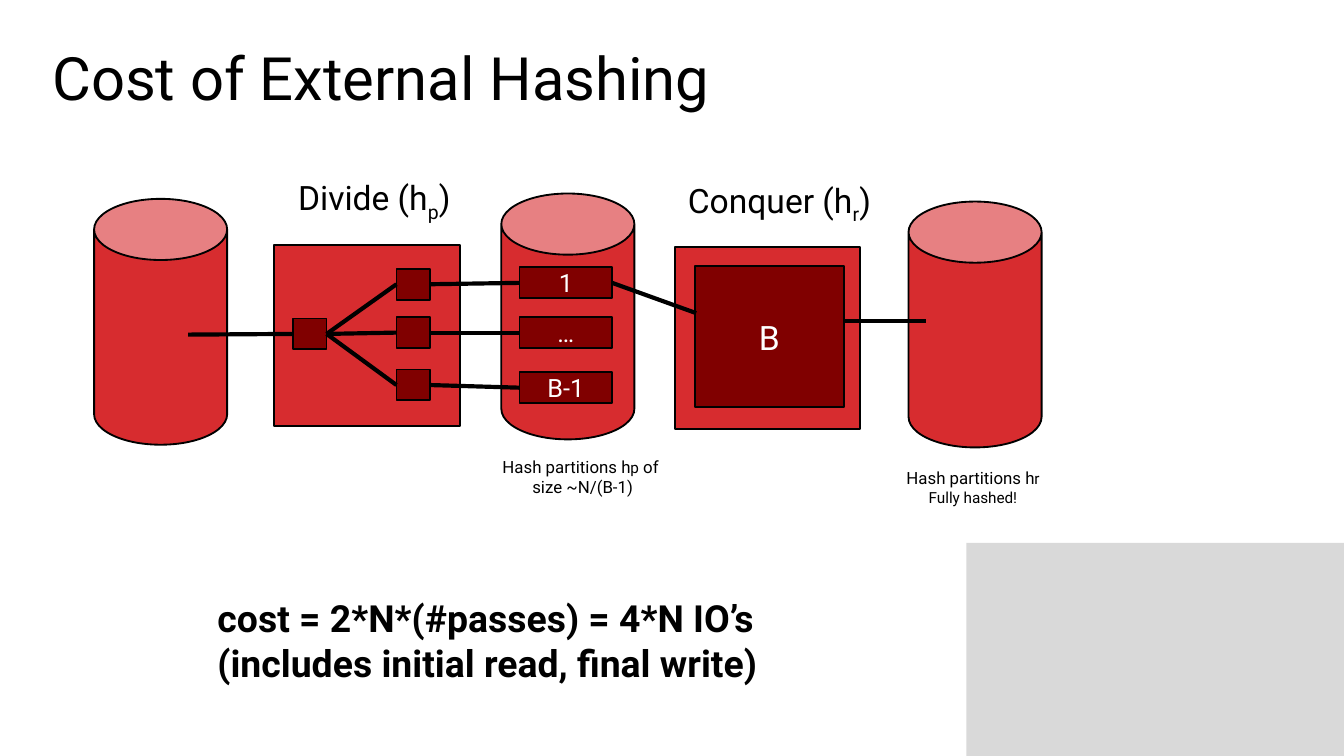
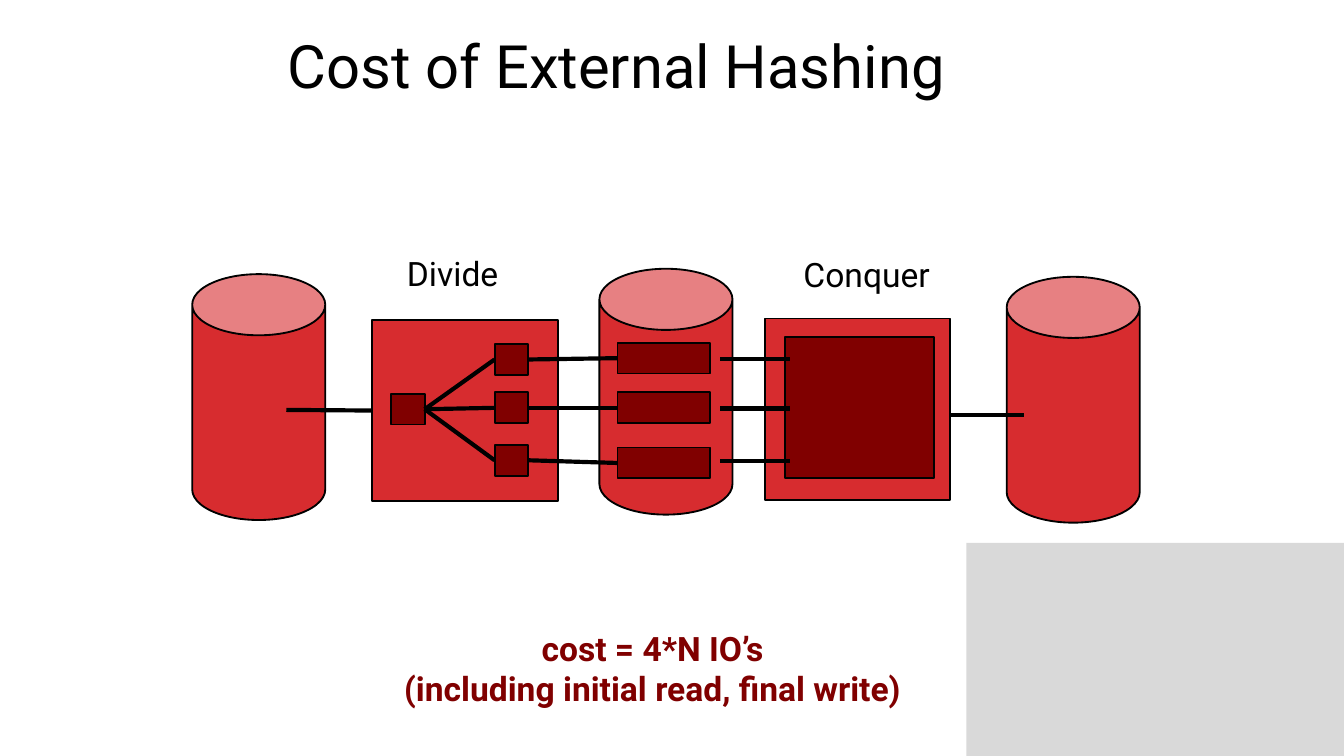
import pptx
import pptx.util
import pptx.dml.color
import pptx.enum.shapes
import pptx.enum.text
import pptx.oxml.ns
import lxml.etree

deck = pptx.Presentation()
deck.slide_width = pptx.util.Inches(10)
deck.slide_height = pptx.util.Inches(5.625)
cell = deck.slide_width / 100

colour = pptx.dml.color.RGBColor.from_string
preset = pptx.enum.shapes.MSO_SHAPE
anchor = pptx.enum.text.MSO_ANCHOR
LEFT = pptx.enum.text.PP_ALIGN.LEFT
CENTER = pptx.enum.text.PP_ALIGN.CENTER
BLACK, WHITE, RED, MAROON, GREY = "000000", "FFFFFF", "D72C2F", "800000", "D9D9D9"


def draw(slide, kind, left, top, width, height, fill=None, outline=BLACK):
    area = [round(length * cell) for length in (left, top, width, height)]
    if kind is None:
        return slide.shapes.add_textbox(*area)
    shape = slide.shapes.add_shape(kind, *area)
    shape.shadow.inherit = False
    shape.fill.solid()
    shape.fill.fore_color.rgb = colour(fill)
    if outline:
        shape.line.color.rgb = colour(outline)
        shape.line.width = pptx.util.Pt(1)
    else:
        shape.line.fill.background()
    return shape


def write(shape, paragraphs, size, ink=BLACK, bold=False, align=LEFT, middle=False, wrap=False):
    frame = shape.text_frame
    frame.word_wrap = wrap
    frame.vertical_anchor = anchor.MIDDLE if middle else anchor.TOP
    for index, runs in enumerate(paragraphs):
        paragraph = frame.paragraphs[0] if index == 0 else frame.add_paragraph()
        paragraph.alignment = align
        for text, run_size, baseline in runs:
            if text == "\n":
                paragraph.add_line_break()
                continue
            run = paragraph.add_run()
            run.text = text
            run.font.name = "Roboto"
            run.font.size = pptx.util.Pt(run_size or size)
            run.font.bold = bold
            run.font.color.rgb = colour(ink)
            if baseline:
                run.font._element.set("baseline", str(baseline * 1000))


pages = [
    {
        "title": (2.9, 1, 78.3, 9.4),
        "cost": (15.2, 43.8, 60.6, 12.4),
        "cost lines": ["cost = 2*N*(#passes) = 4*N IO’s", "(includes initial read, final write)"],
        "cost style": (20, BLACK, True, LEFT, False, True),
        "origin": (0, 0),
        "conquer": (50.2, 18.4),
        "labels": [
            (21.2, 12.7, 13.4, [("Divide (h", None, 0), ("p", None, -25), (")", None, 0)]),
            (50.2, 12.9, 15.7, [("Conquer (h", None, 0), ("r", None, -25), (")", None, 0)]),
        ],
        "partitions": ["1", "…", "B-1"],
        "reader": "B",
        "exit": [(62.8, 23.9), (68.9, 23.9)],
        "captions": [
            (36.3, 33.5, 14.1, [[("Hash partitions h", None, 0), ("p", 8.2, 0), (" of ", None, 0),
                                 ("\n", None, 0), ("size ~N/(B-1)", None, 0)]]),
            (66.4, 34.3, 12, [[("Hash partitions h", None, 0), ("r", 8.2, 0)],
                              [("Fully hashed!", 8.2, 0)]]),
        ],
    },
    {
        "title": (20.4, 0.1, 63.8, 9.4),
        "cost": (28.1, 46.2, 40.9, 7.1),
        "cost lines": ["cost = 4*N IO’s", "(including initial read, final write)"],
        "cost style": (18, MAROON, True, CENTER, False, False),
        "origin": (7.3, 5.6),
        "conquer": (49.6, 18.1),
        "labels": [
            (22, 12.7, 9, [("Divide", None, 0)]),
            (51.5, 12.8, 11.8, [("Conquer", None, 0)]),
        ],
        "partitions": ["", "", ""],
        "reader": "",
        "exit": [(63.4, 25.3), (68.9, 25.3)],
        "captions": [],
    },
]

for page in pages:
    slide = deck.slides.add_slide(deck.slide_layouts[6])
    dx, dy = page["origin"]
    draw(slide, preset.RECTANGLE, 71.9, 40.4, 28.1, 15.85, GREY, None)
    write(draw(slide, None, *page["title"]), [[("Cost of External Hashing", None, 0)]], 32,
          middle=True, wrap=True)
    first, second = page["cost lines"]
    write(draw(slide, None, *page["cost"]),
          [[(first, None, 0), ("\n", None, 0), (second, None, 0)]], *page["cost style"])

    for left, top in [(7, 14.8), (67.6, 15), (37.3, 14.4)]:
        disk = draw(slide, preset.CAN, left + dx, top + dy, 9.9, 18.3, RED)
        disk.adjustments[0] = 0.46

    conquer_left, conquer_top = page["conquer"]
    divide = draw(slide, preset.RECTANGLE, 20.4 + dx, 18.2 + dy, 13.8, 13.5, RED)
    draw(slide, preset.RECTANGLE, conquer_left + dx, conquer_top + dy, 13.8, 13.5, RED)
    reader = draw(slide, preset.RECTANGLE, conquer_left + 1.5 + dx, conquer_top + 1.4 + dy,
                  11.1, 10.5, MAROON)
    splitter = draw(slide, preset.RECTANGLE, 21.8 + dx, 23.7 + dy, 2.5, 2.3, MAROON)
    buckets = [draw(slide, preset.RECTANGLE, 29.5 + dx, top + dy, 2.5, 2.3, MAROON)
               for top in (20, 23.6, 27.5)]
    partitions = [draw(slide, preset.RECTANGLE, 38.65 + dx, top + dy, 6.9, 2.3, MAROON)
                  for top in (19.9, 23.6, 27.7)]

    wires = [((14, 24.9), splitter if page["reader"] else divide), page["exit"]]
    wires += [(splitter, bucket) for bucket in buckets]
    wires += zip(buckets, partitions)
    if page["reader"]:
        wires.append((partitions[0], (51.8, 23.3)))
    else:
        wires += [((46.3, y), (51.5, y)) for y in (21.1, 24.8, 28.7)]
    for start, end in wires:
        x1, y1 = start if isinstance(start, tuple) else (0, 0)
        x2, y2 = end if isinstance(end, tuple) else (0, 0)
        wire = slide.shapes.add_connector(
            pptx.enum.shapes.MSO_CONNECTOR.STRAIGHT,
            *[round(length * cell) for length in (x1 + dx, y1 + dy, x2 + dx, y2 + dy)])
        if not isinstance(start, tuple):
            wire.begin_connect(start, 3)
        if not isinstance(end, tuple):
            wire.end_connect(end, 1)
        wire.line.color.rgb = colour(BLACK)
        wire.line.width = pptx.util.Pt(2.25)
        lxml.etree.SubElement(wire._element.spPr, pptx.oxml.ns.qn("a:effectLst"))

    for left, top, width, runs in page["labels"]:
        write(draw(slide, None, left + dx, top + dy, width, 4), [runs], 18)
    for left, top, width, paragraphs in page["captions"]:
        write(draw(slide, None, left + dx, top + dy, width, 4), paragraphs, 9, align=CENTER)
    if page["reader"]:
        for partition, name in zip(partitions, page["partitions"]):
            write(partition, [[(name, None, 0)]], 13.5, WHITE, align=CENTER, middle=True)
        write(reader, [[(page["reader"], None, 0)]], 18, WHITE, align=CENTER, middle=True)

deck.save("out.pptx")
